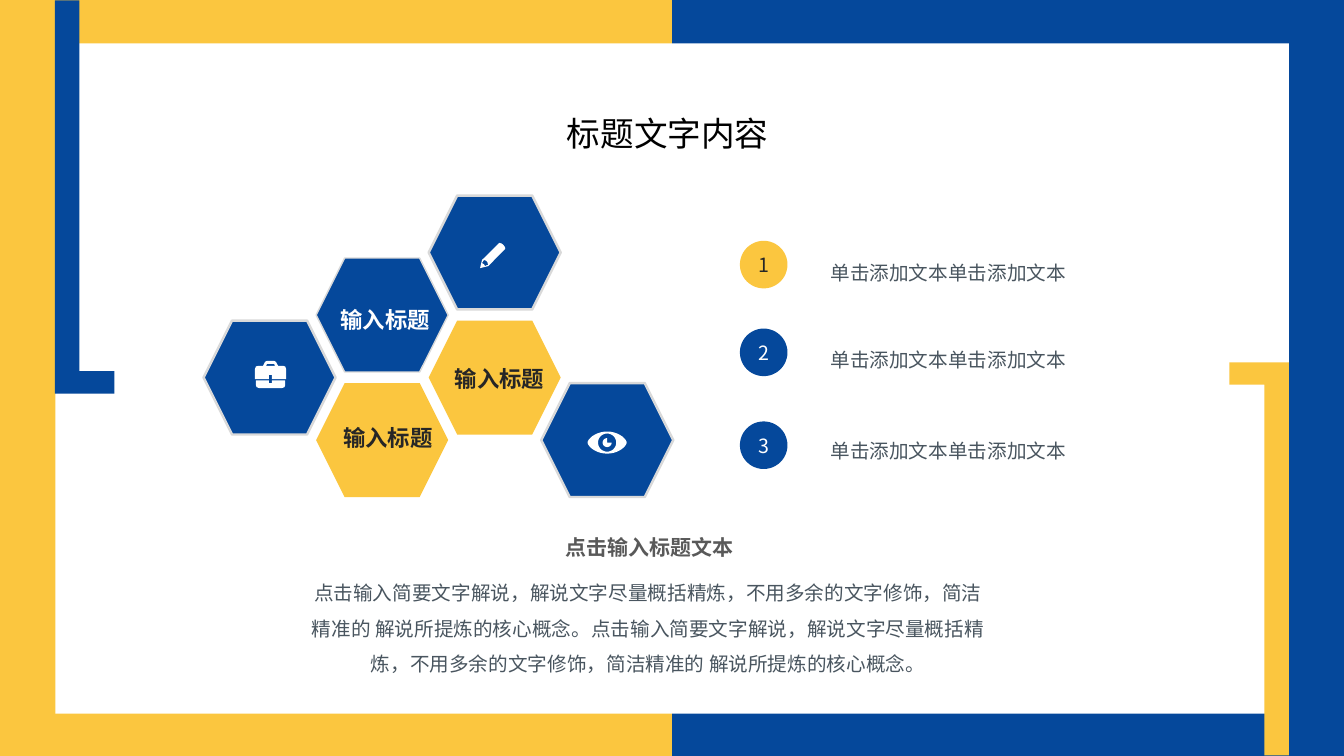
import math

import pptx
import pptx.dml.color
import pptx.enum.shapes
import pptx.enum.text
import pptx.oxml
import pptx.oxml.ns
import pptx.util

Pt = pptx.util.Pt
SHAPE = pptx.enum.shapes.MSO_SHAPE
ALIGN = pptx.enum.text.PP_ALIGN
ANCHOR = pptx.enum.text.MSO_ANCHOR

COLORS = {
    "blue": "05489B", "yellow": "FBC63F", "white": "FFFFFF", "edge": "D9D9D9",
    "dark": "262626", "slate": "49555F", "grey": "595959", "black": "000000",
}
CJK_FONT = "Noto Sans CJK SC"
WIDTH, HEIGHT = 960, 540

HEX_W, HEX_H = 94.3, 81.4
COLUMN_STEP, ROW_STEP = 80.4, 44.65


def rgb(name):
    return pptx.dml.color.RGBColor.from_string(COLORS[name])


def paint(shape, fill, edge_width=0):
    shape.shadow.inherit = False
    shape.fill.solid()
    shape.fill.fore_color.rgb = rgb(fill)
    if edge_width:
        shape.line.color.rgb = rgb("edge")
        shape.line.width = Pt(edge_width)
    else:
        shape.line.fill.background()


def add_block(slide, kind, left, top, width, height, fill, edge_width=0):
    block = slide.shapes.add_shape(kind, Pt(left), Pt(top), Pt(width), Pt(height))
    paint(block, fill, edge_width)
    return block


def write(shape, text, size=14, color="slate", font=CJK_FONT, bold=False, align=ALIGN.LEFT,
          spacing=1.0, inset=(7.2, 3.6), anchor=ANCHOR.TOP, wrap=True):
    frame = shape.text_frame
    frame.auto_size = pptx.enum.text.MSO_AUTO_SIZE.NONE
    frame.word_wrap = wrap
    frame.vertical_anchor = anchor
    frame.margin_left = frame.margin_right = Pt(inset[0])
    frame.margin_top = frame.margin_bottom = Pt(inset[1])
    paragraph = frame.paragraphs[0]
    paragraph.alignment = align
    paragraph.line_spacing = spacing
    paragraph.space_before = Pt(0)
    run = paragraph.add_run()
    run.text = text
    run.font.size, run.font.bold, run.font.name = Pt(size), bold, font
    run.font.color.rgb = rgb(color)
    east_asian = pptx.oxml.parse_xml(
        f'<a:ea {pptx.oxml.ns.nsdecls("a")} typeface="{CJK_FONT}"/>')
    run.font._element.append(east_asian)


def add_text(slide, left, top, width, height, text, **style):
    write(slide.shapes.add_textbox(Pt(left), Pt(top), Pt(width), Pt(height)), text, **style)


def use_placeholder(placeholder, left, top, width, height, text, **style):
    """Move a placeholder into the box, in front of everything drawn so far."""
    placeholder.left, placeholder.top = Pt(left), Pt(top)
    placeholder.width, placeholder.height = Pt(width), Pt(height)
    placeholder.element.getparent().append(placeholder.element)
    write(placeholder, text, **style)


def arc(center_x, center_y, radius, start, end):
    return [(center_x + radius * math.cos(math.radians(angle)),
             center_y + radius * math.sin(math.radians(angle)))
            for angle in range(start, end + 1, 10)]


def briefcase():
    top_half = [(10, 10), (12.2, 10), (12.2, 13), (22.3, 13), (22.3, 5.8), (21.6, 4),
                (20.2, 3.6), (16.6, 3.6), (15, 0.7), (13.7, 0), (8.6, 0), (7.2, 0.7),
                (5.8, 3.6), (2.2, 3.6), (0.7, 4), (0, 5.8), (0, 13), (10, 13)]
    handle = [(8.6, 2.2), (13.7, 2.2), (14.4, 3.6), (7.9, 3.6)]
    bottom_half = [(12.2, 15.8), (10, 15.8), (10, 14), (0.7, 14), (0.7, 17.3), (1.2, 18.8),
                   (2.9, 19.4), (19.4, 19.4), (21.1, 18.8), (21.6, 17.3), (21.6, 14), (12.2, 14)]
    return [top_half, handle, bottom_half]


def eye():
    center_x, center_y = 14, 7.9
    lid = [(center_x + 14 * math.cos(t), center_y + math.copysign(7.9 * abs(math.sin(t)) ** 1.3,
                                                                  math.sin(t)))
           for t in map(math.radians, range(0, 360, 10))]
    pupil = [(center_x, center_y)] + arc(center_x, center_y, 3.2, 0, 270)
    return [lid, arc(center_x, center_y, 6.5, 0, 350), pupil]


def pencil():
    body = [(16.8, 1.6), (15.4, 0.4), (13.7, 0), (1.4, 12.2), (0, 18), (5.8, 16.6),
            (18, 4.3), (17.8, 3)]
    tip = [(5, 15.8), (3.6, 16.6), (2.9, 15.4), (1.4, 14.4), (2.2, 13), (3, 12.2),
           (4.4, 12.8), (5.2, 13.7), (5.8, 15.8)]
    return [body, tip]


def add_icon(slide, left, top, contours):
    units = [[(round(x * 100), round(y * 100)) for x, y in contour] for contour in contours]
    builder = slide.shapes.build_freeform(*units[0][0], scale=Pt(0.01))
    builder.add_line_segments(units[0][1:], close=True)
    for contour in units[1:]:
        builder.move_to(*contour[0])
        builder.add_line_segments(contour[1:], close=True)
    paint(builder.convert_to_shape(Pt(left), Pt(top)), "white")


def draw_frame(slide, left, top, width, height):
    half = width / 2
    add_block(slide, SHAPE.RECTANGLE, left + half, top, half, height, "blue")
    add_block(slide, SHAPE.RECTANGLE, left, top, half, height, "yellow")
    add_block(slide, SHAPE.RECTANGLE, left + 39.6, top + 31, width - 78.9, height - 61.2, "white")
    for x, y, rotation, fill in [(-79.9, 119.5, 270, "blue"), (758.9, 378, 90, "yellow")]:
        bracket = add_block(slide, SHAPE.CORNER, left + x, top + y, 280.8, 42.5, fill)
        bracket.adjustments[0], bracket.adjustments[1] = 0.409, 0.375
        bracket.rotation = rotation
        bracket.element.spPr.xfrm.set("flipV", "1")


def draw_honeycomb(slide, left, top):
    """Place hexagons by column and half row; each holds an icon or a label."""
    icon_cells = [(0, 2, briefcase, 36.7, 28.8), (3, 3, eye, 33.1, 34.6), (2, 0, pencil, 36.7, 33.8)]
    label_cells = [(1, 3, "yellow", "dark", 0, 4, 26.6), (2, 2, "yellow", "dark", 0, 3.4, 28.8),
                   (1, 1, "blue", "white", 1, 2.1, 31.7)]

    def add_hexagon(column, row, fill, edge_width):
        x, y = left + column * COLUMN_STEP, top + row * ROW_STEP
        add_block(slide, SHAPE.HEXAGON, x, y, HEX_W, HEX_H, fill, edge_width)
        return x, y

    for column, row, icon, dx, dy in icon_cells:
        x, y = add_hexagon(column, row, "blue", 1.75)
        add_icon(slide, x + dx, y + dy, icon())
    for column, row, fill, color, edge_width, dx, dy in label_cells:
        x, y = add_hexagon(column, row, fill, edge_width)
        add_text(slide, x + dx, y + dy, HEX_W, 24.5, "输入标题", size=16, color=color,
                 bold=True, align=ALIGN.CENTER, inset=(5, 2.9))


def draw_numbered_points(slide, left, top, width):
    rows = [(0, 2.2, "yellow", "dark"), (62.7, 64.2, "blue", "white"), (129, 129.7, "blue", "white")]
    for number, (badge_y, text_y, fill, color) in enumerate(rows, 1):
        badge = add_block(slide, SHAPE.OVAL, left, top + badge_y, 34, 34, fill)
        write(badge, str(number), color=color, align=ALIGN.CENTER, inset=(5, 2.9),
              anchor=ANCHOR.MIDDLE)
        add_text(slide, left + 57.6, top + text_y, width - 57.6, 29.5,
                 "单击添加文本单击添加文本", spacing=1.5)


def draw_summary(slide, left, top, width):
    add_text(slide, left + 182.2, top, 121.7, 18, "点击输入标题文本", size=15, color="grey",
             font="Roboto Condensed", bold=True, inset=(0, 0))
    summary = slide.placeholders[1]
    sentence = "点击输入简要文字解说，解说文字尽量概括精炼，不用多余的文字修饰，简洁精准的 解说所提炼的核心概念。"
    use_placeholder(summary, left, top + 25.2, width, 73.4, sentence * 2,
                    align=ALIGN.CENTER, spacing=1.5, inset=(0, 0))
    properties = summary.text_frame.paragraphs[0]._p.get_or_add_pPr()
    properties.set("marL", "0")
    properties.set("indent", "0")
    properties.append(pptx.oxml.parse_xml(f'<a:buNone {pptx.oxml.ns.nsdecls("a")}/>'))


def main():
    deck = pptx.Presentation()
    deck.slide_width, deck.slide_height = Pt(WIDTH), Pt(HEIGHT)
    slide = deck.slides.add_slide(deck.slide_layouts[1])
    draw_frame(slide, 0, 0, WIDTH, HEIGHT)
    draw_honeycomb(slide, 145.4, 139.7)
    draw_numbered_points(slide, 528.5, 172, 332.6)
    draw_summary(slide, 221.8, 381.6, 482.4)
    use_placeholder(slide.shapes.title, 393.5, 77, 167, 36, "标题文字内容", size=24,
                    color="black", align=ALIGN.CENTER, wrap=False)
    deck.save("out.pptx")


if __name__ == "__main__":
    main()
